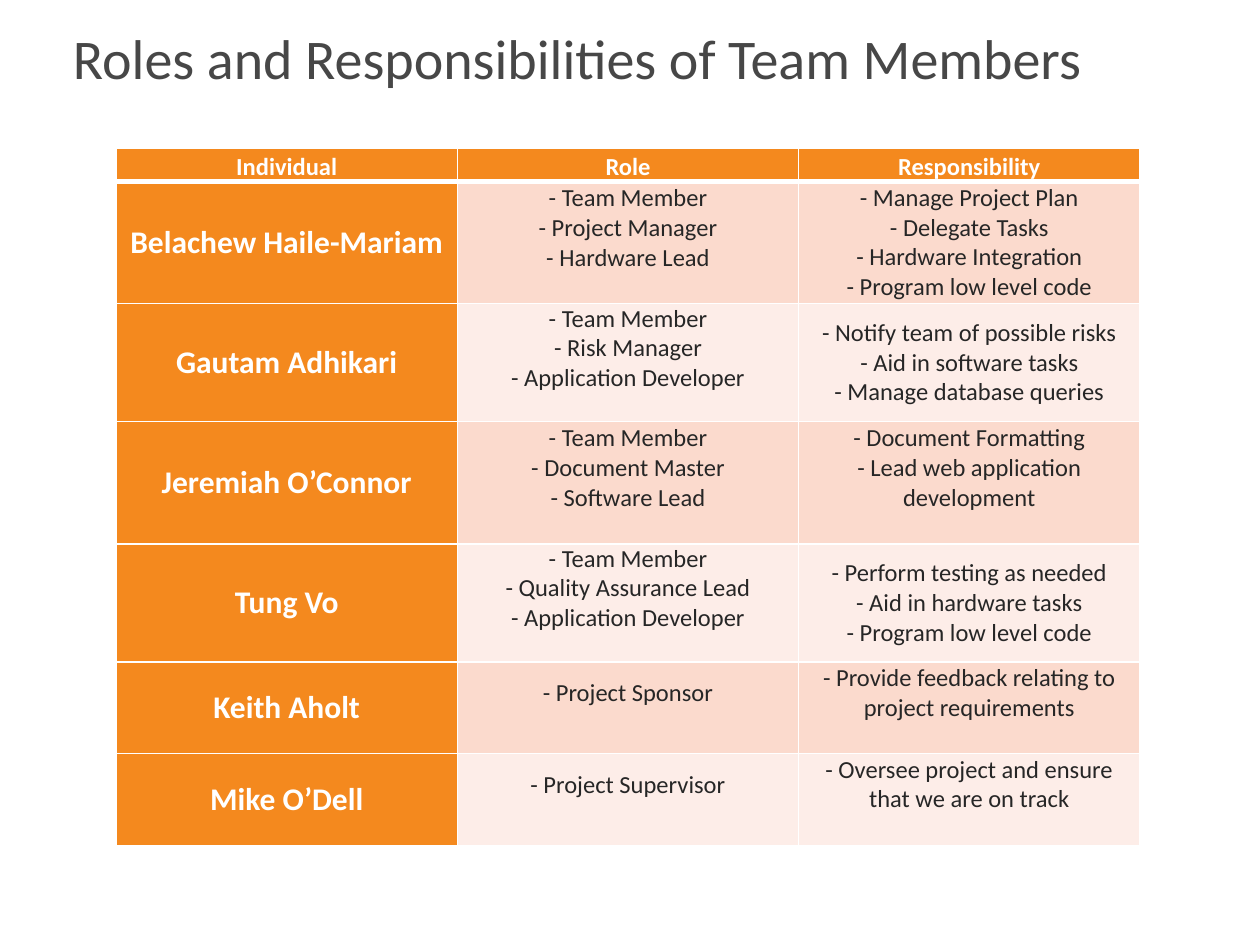
from pptx import Presentation
from pptx.dml.color import RGBColor
from pptx.enum.text import MSO_ANCHOR as Anchor, PP_ALIGN as Align
from pptx.oxml import parse_xml
from pptx.oxml.ns import nsdecls
from pptx.util import Cm, Pt

ORANGE, WHITE, INK = "F4891E", "FFFFFF", "262626"
BANDS = ["FBDACD", "FDEDE8"]
HEADINGS = ["Individual", "Role", "Responsibility"]
COLUMN_WIDTH = 6.88
HEADER_HEIGHT = 0.66
MARGIN = 0.18
BLANK_LINE = 0.6
MEMBERS = [
    ("Belachew Haile-Mariam", 2.46,
     ["- Team Member", "- Project Manager", "- Hardware Lead"], BLANK_LINE,
     ["- Manage Project Plan", "- Delegate Tasks", "- Hardware Integration",
      "- Program low level code"], 0),
    ("Gautam Adhikari", 2.36,
     ["- Team Member", "- Risk Manager", "- Application Developer"], BLANK_LINE,
     ["- Notify team of possible risks", "- Aid in software tasks",
      "- Manage database queries"], 0),
    ("Jeremiah O’Connor", 2.46,
     ["- Team Member", "- Document Master", "- Software Lead"], BLANK_LINE,
     ["- Document Formatting", "- Lead web application development"], BLANK_LINE),
    ("Tung Vo", 2.36,
     ["- Team Member", "- Quality Assurance Lead", "- Application Developer"], BLANK_LINE,
     ["- Perform testing as needed", "- Aid in hardware tasks",
      "- Program low level code"], 0),
    ("Keith Aholt", 1.85, ["- Project Sponsor"], BLANK_LINE,
     ["- Provide feedback relating to project requirements"], BLANK_LINE),
    ("Mike O’Dell", 1.85, ["- Project Supervisor"], BLANK_LINE,
     ["- Oversee project and ensure that we are on track"], BLANK_LINE),
]


def color(value):
    return RGBColor.from_string(value)


def write(frame, lines, size=14, ink=INK, bold=False, align=Align.CENTER, spacing=1.0):
    frame.word_wrap = True
    for index, line in enumerate(lines):
        paragraph = frame.paragraphs[0] if index == 0 else frame.add_paragraph()
        paragraph.alignment = align
        paragraph.line_spacing = spacing
        run = paragraph.add_run()
        run.text = line
        run.font.name = "Calibri"
        run.font.size = Pt(size)
        run.font.bold = bold
        run.font.color.rgb = color(ink)


def add_borders(cell, top=1, bottom=1):
    properties = cell._tc.get_or_add_tcPr()
    for side, width in zip("LRTB", (1, 1, top, bottom)):
        properties.append(parse_xml(
            f'<a:ln{side} {nsdecls("a")} w="{Pt(width)}"><a:solidFill>'
            f'<a:srgbClr val="{WHITE}"/></a:solidFill></a:ln{side}>'))


def fill_cell(cell, lines, fill, below=0, top=1, bottom=1, **text_format):
    add_borders(cell, top, bottom)
    cell.fill.solid()
    cell.fill.fore_color.rgb = color(fill)
    cell.vertical_anchor = Anchor.MIDDLE
    cell.margin_left = cell.margin_right = Cm(MARGIN)
    cell.margin_top, cell.margin_bottom = Cm(0), Cm(below)
    write(cell.text_frame, lines, **text_format)


def add_title(slide, title):
    box = slide.shapes.add_textbox(Cm(1.22), Cm(0.2), Cm(23.34), Cm(1.9))
    box.text_frame.vertical_anchor = Anchor.MIDDLE
    write(box.text_frame, [title], size=32, ink="474747", align=Align.LEFT)


def add_team_table(slide):
    heights = [HEADER_HEIGHT] + [member[1] for member in MEMBERS]
    table = slide.shapes.add_table(
        len(heights), len(HEADINGS), Cm(2.34), Cm(2.98),
        Cm(COLUMN_WIDTH * len(HEADINGS)), Cm(sum(heights))).table
    table.horz_banding = False
    for column in table.columns:
        column.width = Cm(COLUMN_WIDTH)
    for row, height in zip(table.rows, heights):
        row.height = Cm(height)
    for index, heading in enumerate(HEADINGS):
        fill_cell(table.cell(0, index), [heading], ORANGE, bottom=3,
                  ink=WHITE, bold=True, spacing=1.15)
    for row, (name, _, roles, roles_below, duties, duties_below) in enumerate(MEMBERS, 1):
        top = 3 if row == 1 else 1
        band = BANDS[(row - 1) % 2]
        fill_cell(table.cell(row, 0), [name], ORANGE, top=top, size=18, ink=WHITE, bold=True)
        fill_cell(table.cell(row, 1), roles, band, roles_below, top)
        fill_cell(table.cell(row, 2), duties, band, duties_below, top)


def main():
    """Build the slide of team roles and responsibilities."""
    deck = Presentation()
    deck.slide_width, deck.slide_height = Cm(25.4), Cm(19.05)
    slide = deck.slides.add_slide(deck.slide_layouts[6])
    add_title(slide, "Roles and Responsibilities of Team Members")
    add_team_table(slide)
    deck.save("out.pptx")


if __name__ == "__main__":
    main()
